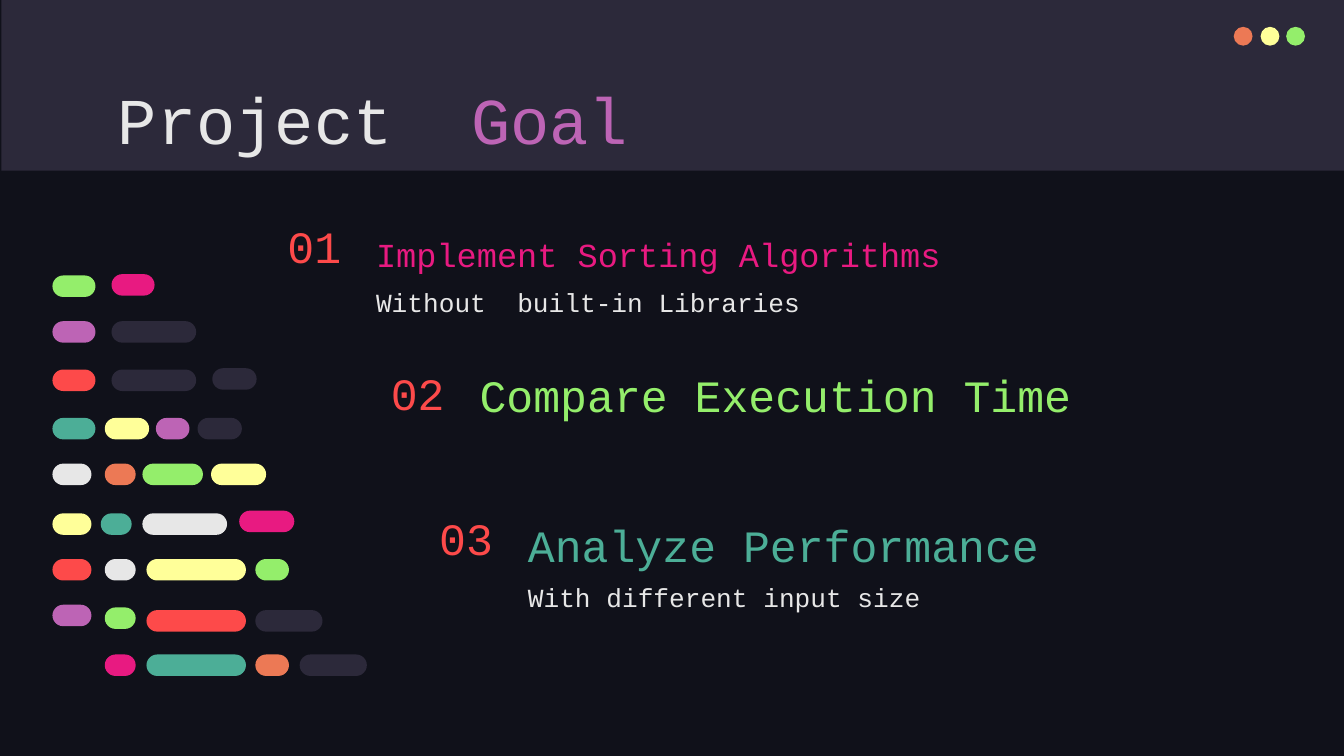
from dataclasses import dataclass

from pptx import Presentation
from pptx.dml.color import RGBColor
from pptx.enum.shapes import MSO_SHAPE as Shape
from pptx.enum.text import MSO_ANCHOR as Anchor
from pptx.slide import Slide
from pptx.util import Inches, Pt

NIGHT = RGBColor(0x10, 0x11, 0x1A)
SLATE = RGBColor(0x2C, 0x29, 0x3A)
ORANGE = RGBColor(0xEC, 0x79, 0x55)
YELLOW = RGBColor(0xFF, 0xFF, 0x99)
GREEN = RGBColor(0x94, 0xEE, 0x6B)
WHITE = RGBColor(0xE7, 0xE7, 0xE7)
PURPLE = RGBColor(0xBD, 0x64, 0xB5)
RED = RGBColor(0xFD, 0x4A, 0x4A)
PINK = RGBColor(0xE8, 0x1A, 0x81)
TEAL = RGBColor(0x4C, 0xAE, 0x97)
FONT = "Courier New"


@dataclass(frozen=True)
class Box:
    left: float
    top: float
    width: float
    height: float


@dataclass(frozen=True)
class Word:
    text: str
    size: float
    color: RGBColor


@dataclass(frozen=True)
class Label:
    box: Box
    words: tuple[Word, ...]
    anchor: Anchor = Anchor.TOP
    spacing: float = 1.0


@dataclass(frozen=True)
class Pill:
    left: float
    top: float
    width: float
    color: RGBColor


@dataclass(frozen=True)
class Goal:
    left: float
    top: float
    number: str
    height: float
    title: Word
    detail: str = ""
    drop: float = 0.0


DOTS = ((9.18, ORANGE), (9.38, YELLOW), (9.57, GREEN))

GOALS = (
    Goal(2.04, 1.61, "01", 0.43, Word("Implement Sorting Algorithms", 18, PINK),
         "Without  built-in Libraries", 0.39),
    Goal(2.81, 2.71, "02", 0.43, Word("Compare Execution Time", 24, GREEN)),
    Goal(3.17, 3.82, "03", 0.36, Word("Analyze Performance", 24, TEAL),
         "With different input size", 0.37),
)

PILLS = (
    Pill(0.39, 2.05, 0.32, GREEN), Pill(0.83, 2.04, 0.32, PINK),
    Pill(0.39, 2.39, 0.32, PURPLE), Pill(0.83, 2.39, 0.63, SLATE),
    Pill(0.39, 2.75, 0.32, RED), Pill(0.83, 2.75, 0.63, SLATE),
    Pill(1.58, 2.74, 0.33, SLATE),
    Pill(0.39, 3.11, 0.32, TEAL), Pill(0.78, 3.11, 0.33, YELLOW),
    Pill(1.16, 3.11, 0.25, PURPLE), Pill(1.47, 3.11, 0.33, SLATE),
    Pill(0.39, 3.45, 0.29, WHITE), Pill(0.78, 3.45, 0.23, ORANGE),
    Pill(1.06, 3.45, 0.45, GREEN), Pill(1.57, 3.45, 0.41, YELLOW),
    Pill(0.39, 3.82, 0.29, YELLOW), Pill(0.75, 3.82, 0.23, TEAL),
    Pill(1.06, 3.82, 0.63, WHITE), Pill(1.78, 3.8, 0.41, PINK),
    Pill(0.39, 4.16, 0.29, RED), Pill(0.78, 4.16, 0.23, WHITE),
    Pill(1.09, 4.16, 0.74, YELLOW), Pill(1.9, 4.16, 0.25, GREEN),
    Pill(0.39, 4.5, 0.29, PURPLE), Pill(0.78, 4.52, 0.23, GREEN),
    Pill(1.09, 4.54, 0.74, RED), Pill(1.9, 4.54, 0.5, SLATE),
    Pill(0.78, 4.87, 0.23, PINK), Pill(1.09, 4.87, 0.74, TEAL),
    Pill(1.9, 4.87, 0.25, ORANGE), Pill(2.23, 4.87, 0.5, SLATE),
)


def draw_shape(slide: Slide, kind: Shape, box: Box, color: RGBColor) -> None:
    shape = slide.shapes.add_shape(
        kind, Inches(box.left), Inches(box.top), Inches(box.width), Inches(box.height))
    shape.shadow.inherit = False
    shape.fill.solid()
    shape.fill.fore_color.rgb = color
    shape.line.fill.background()
    if kind == Shape.ROUNDED_RECTANGLE:
        shape.adjustments[0] = 0.5


def draw_label(slide: Slide, label: Label) -> None:
    box = label.box
    frame = slide.shapes.add_textbox(
        Inches(box.left), Inches(box.top), Inches(box.width), Inches(box.height)).text_frame
    frame.word_wrap = True
    frame.vertical_anchor = label.anchor
    frame.margin_left = frame.margin_right = Inches(0.1)
    frame.margin_top = frame.margin_bottom = Inches(0.1)
    line = frame.paragraphs[0]
    line.line_spacing = label.spacing
    for word in label.words:
        run = line.add_run()
        run.text = word.text
        run.font.name = FONT
        run.font.size = Pt(word.size)
        run.font.color.rgb = word.color


def draw_goal(slide: Slide, goal: Goal) -> None:
    left = goal.left + 0.66
    draw_label(slide, Label(Box(goal.left, goal.top, 0.66, goal.height),
                            (Word(goal.number, 24, RED),), Anchor.MIDDLE))
    draw_label(slide, Label(Box(left, goal.top, 4.6, 0.53),
                            (goal.title,), Anchor.BOTTOM, 1.15))
    if goal.detail:
        draw_label(slide, Label(Box(left, goal.top + goal.drop, 4.6, 0.63),
                                (Word(goal.detail, 14, WHITE),), spacing=1.15))


def main() -> None:
    deck = Presentation()
    deck.slide_width = Inches(10)
    deck.slide_height = Inches(10) * 9 // 16
    slide = deck.slides.add_slide(deck.slide_layouts[6])
    slide.background.fill.solid()
    slide.background.fill.fore_color.rgb = NIGHT

    draw_shape(slide, Shape.RECTANGLE, Box(0.01, 0, 10, 1.27), SLATE)
    for left, color in DOTS:
        draw_shape(slide, Shape.OVAL, Box(left, 0.2, 0.14, 0.14), color)
    draw_label(slide, Label(Box(0.78, 0.49, 8.43, 0.63),
                            (Word("Project  ", 35, WHITE), Word("Goal", 35, PURPLE))))
    for goal in GOALS:
        draw_goal(slide, goal)
    for pill in PILLS:
        draw_shape(slide, Shape.ROUNDED_RECTANGLE,
                   Box(pill.left, pill.top, pill.width, 0.16), pill.color)
    deck.save("out.pptx")


if __name__ == "__main__":
    main()
